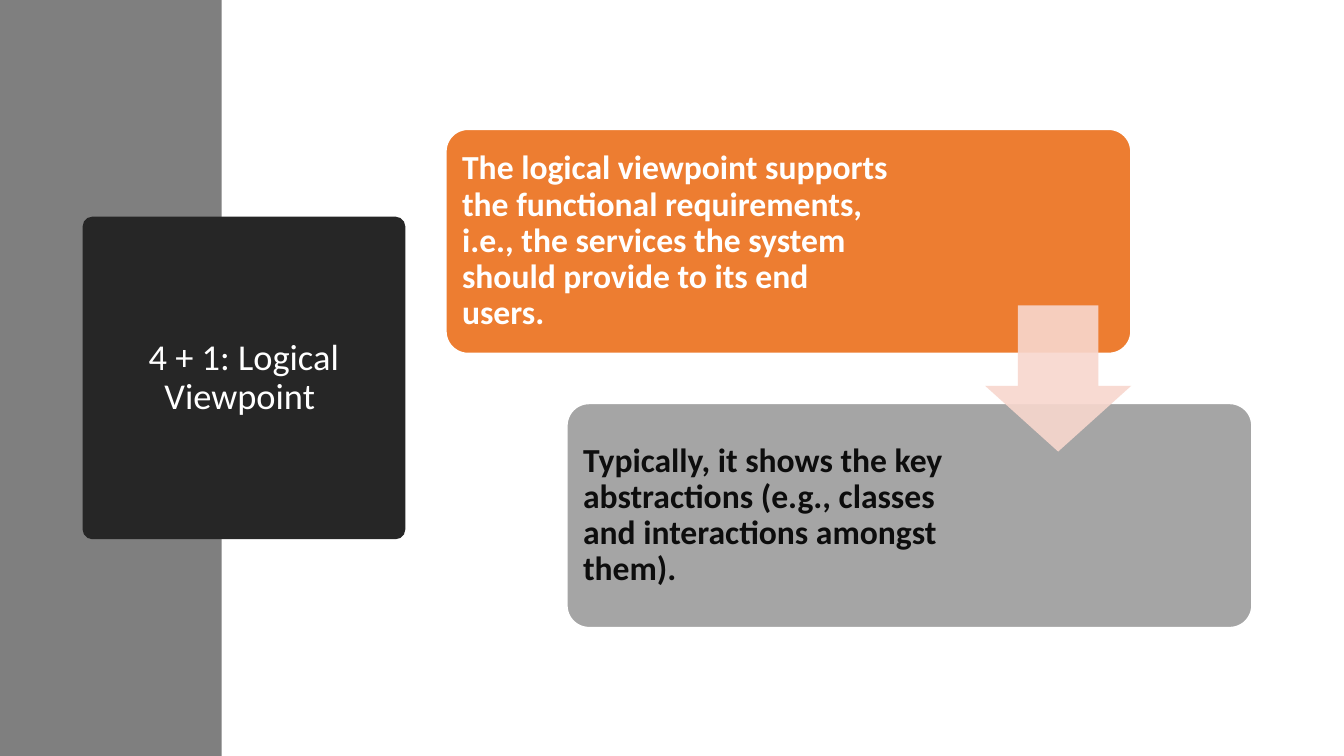
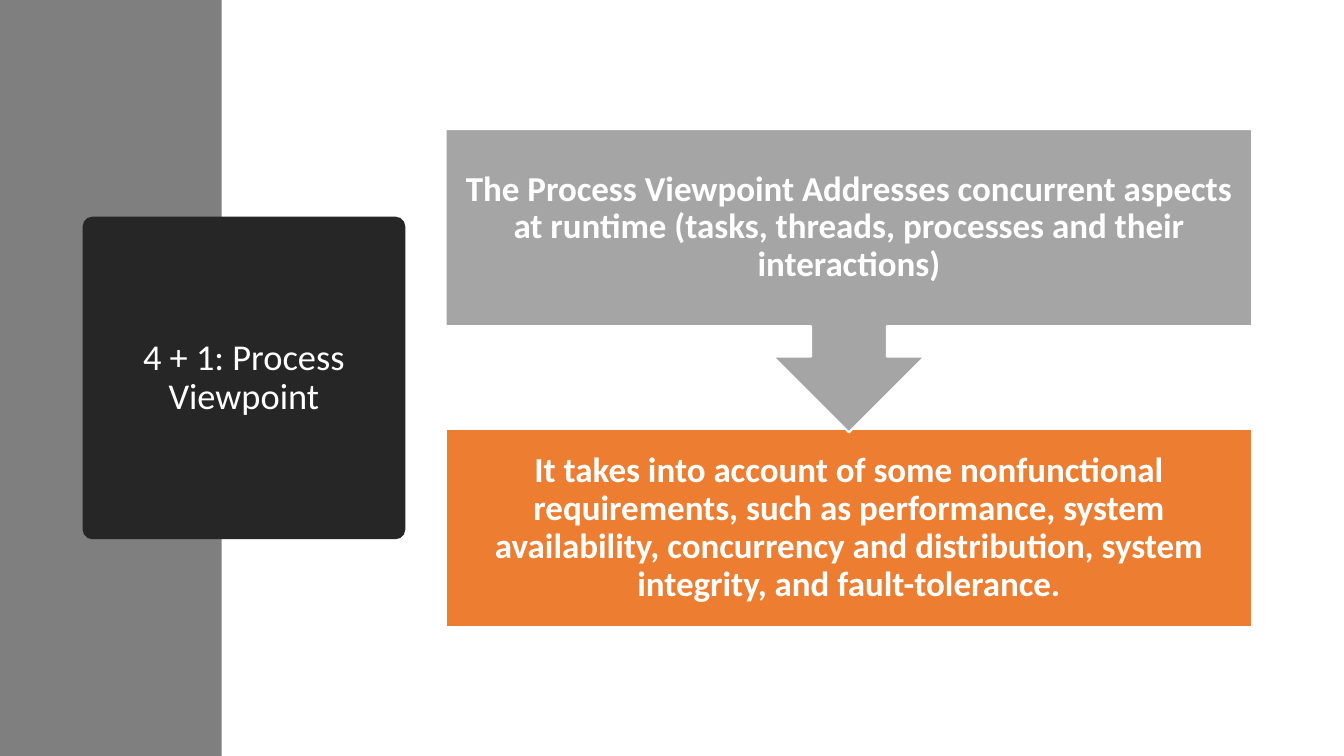
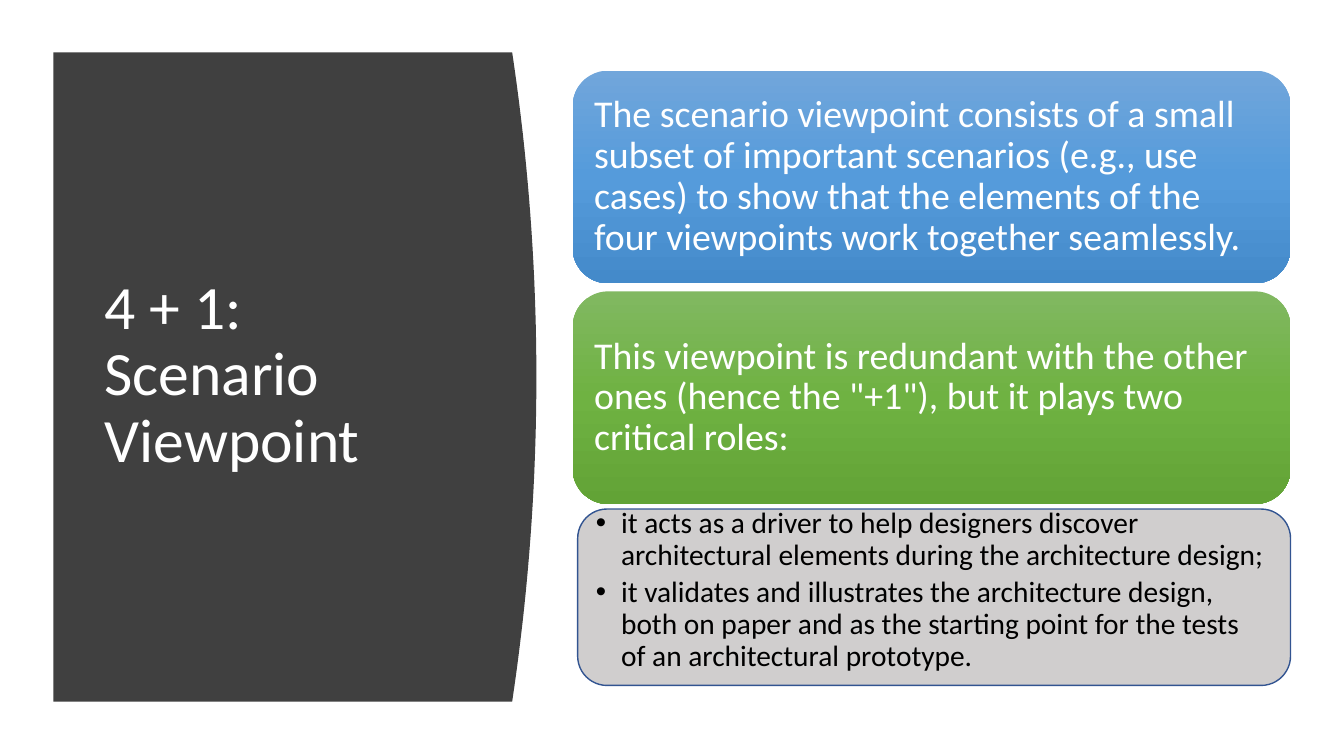
"""Build three slides on the viewpoints of the 4 + 1 model."""
from copy import deepcopy
from lxml.etree import SubElement
from pptx import Presentation
from pptx.dml.color import RGBColor
from pptx.enum.shapes import MSO_SHAPE as Form
from pptx.enum.text import MSO_ANCHOR as Anchor, PP_ALIGN as Align
from pptx.oxml.ns import qn
from pptx.util import Inches, Pt

WHITE = RGBColor(0xFF, 0xFF, 0xFF)
BLACK = RGBColor(0x00, 0x00, 0x00)
INK = RGBColor(0x0D, 0x0D, 0x0D)
BAND = RGBColor(0x7F, 0x7F, 0x7F)
DARK = RGBColor(0x26, 0x26, 0x26)
SLATE = RGBColor(0x40, 0x40, 0x40)
ORANGE = RGBColor(0xED, 0x7D, 0x31)
GRAY = RGBColor(0xA5, 0xA5, 0xA5)
PINK = RGBColor(0xF8, 0xD7, 0xCE)
PALE = RGBColor(0xD0, 0xCE, 0xCE)
NAVY = RGBColor(0x32, 0x54, 0x91)
BLUES = [RGBColor(0x71, 0xA6, 0xDB), RGBColor(0x55, 0x9B, 0xDB), RGBColor(0x44, 0x8A, 0xCA)]
GREENS = [RGBColor(0x81, 0xB8, 0x61), RGBColor(0x6F, 0xB2, 0x42), RGBColor(0x62, 0xA3, 0x36)]
FONT = "Calibri"


def draw(slide, form, place, fill, line=None, width=1.5):
    """Add a filled shape, outlined if a line colour is given."""
    shape = slide.shapes.add_shape(form, *map(Inches, place))
    shape.shadow.inherit = False
    shape.fill.solid()
    shape.fill.fore_color.rgb = fill
    if line is None:
        shape.line.fill.background()
    else:
        shape.line.color.rgb = line
        shape.line.width = Pt(width)
    return shape


def write(shape, texts, size, color=WHITE, bold=False, align=Align.LEFT,
          inset=(0.1, 0.05, 0.1, 0.05), anchor=Anchor.MIDDLE, bullet=None):
    """Fill a shape with paragraphs of one style."""
    frame = shape.text_frame
    frame.word_wrap = True
    frame.vertical_anchor = anchor
    (frame.margin_left, frame.margin_top,
     frame.margin_right, frame.margin_bottom) = map(Inches, inset)
    frame.text = "\n".join(texts)
    for par in frame.paragraphs:
        par.alignment = align
        par.line_spacing = 0.9
        if bullet:
            par.space_after = Pt(size * 0.2)
            props = par._p.get_or_add_pPr()
            props.set("marL", str(Inches(0.25)))
            props.set("indent", str(-Inches(0.25)))
            SubElement(props, qn("a:buFont")).set("typeface", "Arial")
            SubElement(props, qn("a:buChar")).set("char", bullet)
        par.font.name = FONT
        par.font.size = Pt(size)
        par.font.bold = bold
        par.font.color.rgb = color


deck = Presentation()
deck.slide_width, deck.slide_height = Inches(13.33), Inches(7.5)
logic, process, scene = [deck.slides.add_slide(deck.slide_layouts[6]) for _ in range(3)]

for slide, title in [(logic, "4 + 1: Logical Viewpoint "), (process, "4 + 1: Process Viewpoint")]:
    draw(slide, Form.RECTANGLE, (0, 0, 2.2, 7.5), BAND)
    plate = draw(slide, Form.ROUNDED_RECTANGLE, (0.82, 2.15, 3.2, 3.2), DARK)
    plate.adjustments[0] = 0.03
    write(plate, [title], 26, align=Align.CENTER)

steps = [
    (4.42, 1.28, ORANGE, WHITE, 2.27,
     "The logical viewpoint supports the functional requirements, i.e., the services "
     "the system should provide to its end users."),
    (5.62, 4, GRAY, INK, 2.75,
     "Typically, it shows the key abstractions (e.g., classes and interactions amongst them)."),
]
for left, top, fill, color, right, text in steps:
    card = draw(logic, Form.ROUNDED_RECTANGLE, (left, top, 6.8, 2.23), fill, WHITE)
    card.adjustments[0] = 0.1
    write(card, [text], 24, color, True, inset=(0.1, 0.1, right, 0.1))
arrow = draw(logic, Form.DOWN_ARROW, (9.77, 3.03, 1.45, 1.45), PINK)
arrow.adjustments[0], arrow.adjustments[1] = 0.55, 0.45
tint = arrow._element.spPr.find(qn("a:solidFill"))[0]
SubElement(tint, qn("a:alpha")).set("val", "90000")

blocks = [
    (Form.RECTANGLE, 4.26, 1.96, ORANGE,
     "It takes into account of some nonfunctional requirements, such as performance, system "
     "availability, concurrency and distribution, system integrity, and fault-tolerance."),
    (Form.DOWN_ARROW_CALLOUT, 1.28, 3.01, GRAY,
     "The Process Viewpoint Addresses concurrent aspects at runtime (tasks, threads, "
     "processes and their interactions)"),
]
for form, top, height, fill, text in blocks:
    block = draw(process, form, (4.42, top, 8, height), fill, WHITE)
    write(block, [text], 25, bold=True, align=Align.CENTER, inset=(0.19,) * 4)

draw(scene, Form.ROUNDED_RECTANGLE, (5.73, 5.05, 7.07, 1.75), PALE, NAVY, 1)

top, base, edge, bulge, count = 0.52, 6.96, 5.08, 0.24, 40
curve = []
for i in range(count + 1):
    t = i / count
    curve.append((Inches(edge + 4 * bulge * t * (1 - t)), Inches(top + (base - top) * t)))
pen = scene.shapes.build_freeform(Inches(0.53), Inches(top))
pen.add_line_segments(curve + [(Inches(0.53), Inches(base))], close=True)
panel = pen.convert_to_shape()
panel.shadow.inherit = False
panel.fill.solid()
panel.fill.fore_color.rgb = SLATE
panel.line.fill.background()
title = scene.shapes.add_textbox(*map(Inches, (0.94, 1.11, 3.74, 5.24)))
write(title, ["4 + 1: Scenario Viewpoint"], 44)

cards = [
    (BLUES, "The scenario viewpoint consists of a small subset of important scenarios (e.g., use "
            "cases) to show that the elements of the four viewpoints work together seamlessly."),
    (GREENS, "This viewpoint is redundant with the other ones (hence the \"+1\"), but it plays "
             "two critical roles:"),
]
for i, (shades, text) in enumerate(cards):
    card = draw(scene, Form.ROUNDED_RECTANGLE, (5.68, 0.7 + 2.19 * i, 7.12, 2.11), shades[0])
    card.fill.gradient()
    card.fill.gradient_angle = 270
    stops = card._element.spPr.find(qn("a:gradFill")).find(qn("a:gsLst"))
    stops.insert(1, deepcopy(stops[0]))
    for stop, shade, spot in zip(card.fill.gradient_stops, shades, (0, 0.5, 1)):
        stop.color.rgb = shade
        stop.position = spot
    write(card, [text], 27, inset=(0.11,) * 4)

roles = scene.shapes.add_textbox(*map(Inches, (5.68, 5, 7.12, 1.77)))
write(roles, [
    "it acts as a driver to help designers discover architectural elements during the "
    "architecture design;",
    "it validates and illustrates the architecture design, both on paper and as the starting "
    "point for the tests of an architectural prototype.",
], 21, BLACK, inset=(0.23, 0.04, 0.21, 0.04), anchor=Anchor.TOP, bullet="•")

deck.save("out.pptx")
